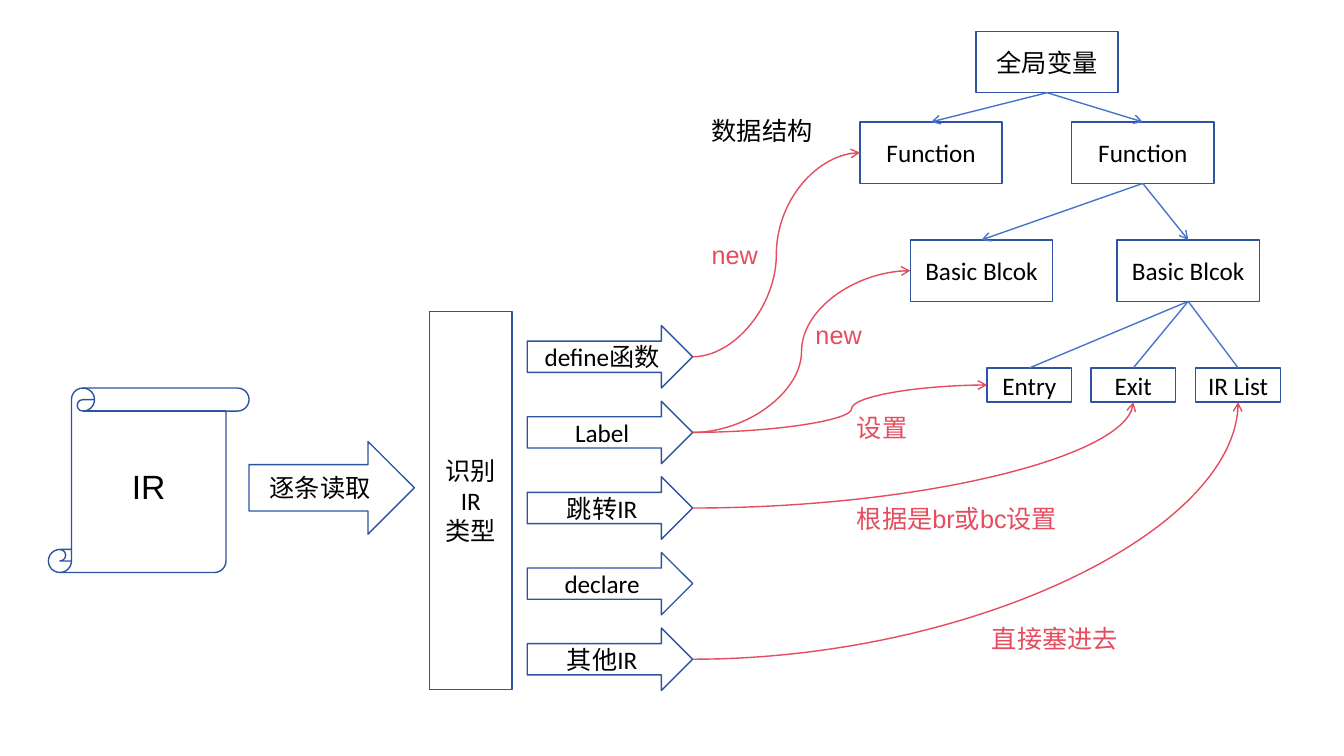
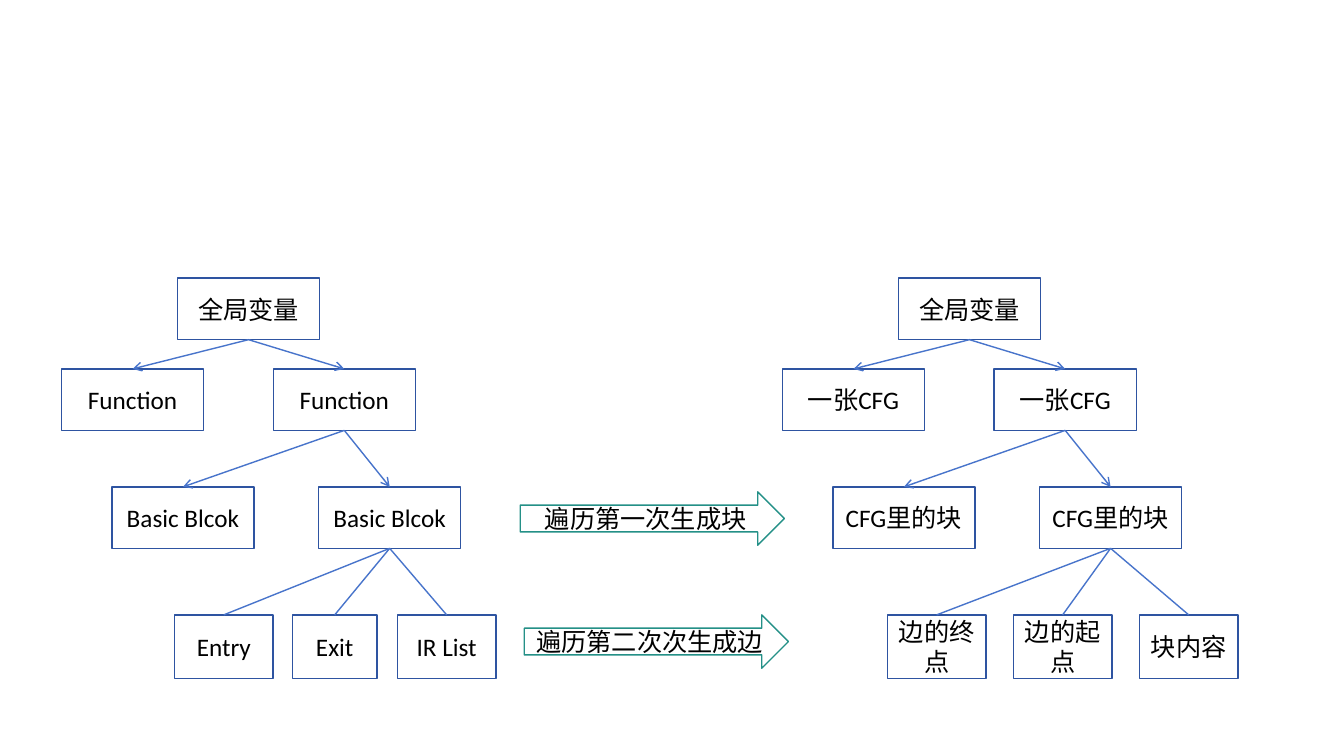
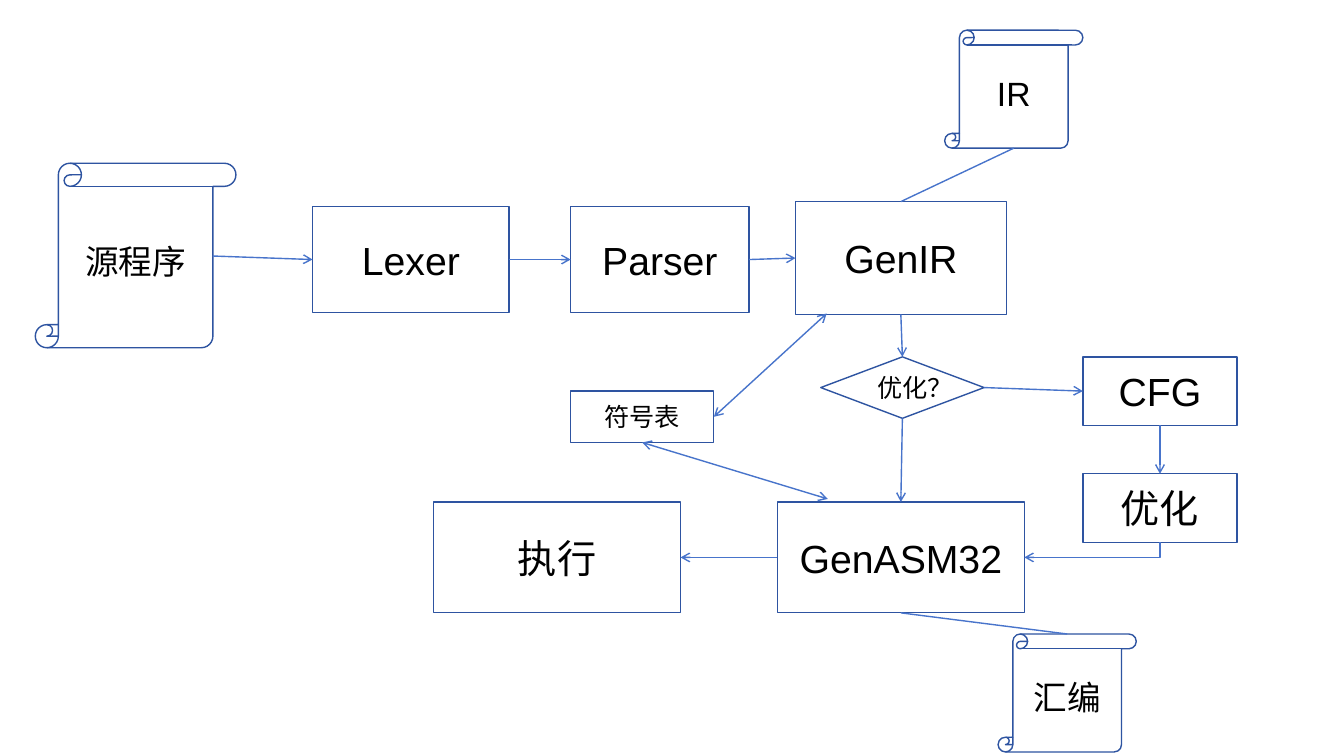
import pptx
import pptx.dml.color
import pptx.enum.shapes
import pptx.enum.text
import pptx.util
from pptx.oxml.ns import qn
from lxml import etree

Inches = pptx.util.Inches
Pt = pptx.util.Pt
MSO = pptx.enum.shapes.MSO_SHAPE
LINK = pptx.enum.shapes.MSO_CONNECTOR
TOP, LEFT, BOTTOM, RIGHT = range(4)

NAVY, BLUE, RED, TEAL, BLACK = "2E54A1", "4874CB", "E54C5E", "249087", "000000"


def color(code):
    return pptx.dml.color.RGBColor.from_string(code)


def style_text(tf, text, size, font, ink, align=None):
    tf.word_wrap = True
    tf.text = text
    for p in tf.paragraphs:
        p.alignment = align
        p.font.size = Pt(size)
        p.font.name = font
        p.font.color.rgb = color(ink)


def outline(s, kind, box, text, size=18, font="Calibri", line=NAVY):
    """Add an unfilled preset shape with centred text; box is x, y, w, h."""
    sp = s.shapes.add_shape(kind, *map(Inches, box))
    sp.shadow.inherit = False
    sp.fill.background()
    sp.line.color.rgb = color(line)
    sp.line.width = Pt(1)
    sp.text_frame.vertical_anchor = pptx.enum.text.MSO_ANCHOR.MIDDLE
    style_text(sp.text_frame, text, size, font, BLACK, pptx.enum.text.PP_ALIGN.CENTER)
    return sp


def note(s, x, y, w, text, font="Arial", ink=RED):
    sp = s.shapes.add_textbox(*map(Inches, (x, y, w, 0.4)))
    style_text(sp.text_frame, text, 18, font, ink)
    sp.text_frame.auto_size = pptx.enum.text.MSO_AUTO_SIZE.SHAPE_TO_FIT_TEXT


def side(sp, site):
    """Return the middle of one side of a shape, in inches."""
    dx, dy = ((0.5, 0), (0, 0.5), (0.5, 1), (1, 0.5))[site]
    return (sp.left.inches + dx * sp.width.inches, sp.top.inches + dy * sp.height.inches)


def connector(s, start, end, ink=BLUE, head=False, tail=True, kind=LINK.STRAIGHT,
              preset=None, bend=None):
    """Draw a connector between two points; bend is the place of its middle, 0 to 1."""
    cn = s.shapes.add_connector(kind, *map(Inches, start + end))
    cn.line.color.rgb = color(ink)
    cn.line.width = Pt(1)
    props = cn._element.spPr
    geom = props.find(qn("a:prstGeom"))
    if preset:
        geom.set("prst", preset)
    if bend:
        etree.SubElement(geom.find(qn("a:avLst")), qn("a:gd"),
                         name="adj1", fmla=f"val {round(bend * 100000)}")
    ln = props.find(qn("a:ln"))
    for tag, wanted in (("a:headEnd", head), ("a:tailEnd", tail)):
        if wanted:
            etree.SubElement(ln, qn(tag), type="arrow")
    etree.SubElement(props, qn("a:effectLst"))
    return cn


def join(s, a, a_site, b, b_site, **options):
    cn = connector(s, side(a, a_site), side(b, b_site), **options)
    cn.begin_connect(a, a_site)
    cn.end_connect(b, b_site)


def tree(s, x, y, function, block, leaves, leaf_h):
    """Draw root, functions, blocks and leaves; a leaf is (text, x offset, width)."""
    def node(dx, dy, text, w=1.41, h=0.61):
        return outline(s, MSO.RECTANGLE, (x + dx, y + dy, w, h), text)

    root = node(1.15, 0, "全局变量")
    functions = [node(dx, 0.9, function) for dx in (0, 2.1)]
    blocks = [node(dx, 2.07, block) for dx in (0.5, 2.55)]
    ends = [node(dx, 3.34, text, w, leaf_h) for text, dx, w in leaves]
    for parent, children in ((root, functions), (functions[1], blocks), (blocks[1], ends)):
        for child in children:
            join(s, parent, BOTTOM, child, TOP, tail=children is not ends)
    return functions, blocks, ends


def reading_slide(s):
    outline(s, MSO.VERTICAL_SCROLL, (0.48, 3.85, 1.99, 1.83), "IR", 24, "Arial")
    outline(s, MSO.RIGHT_ARROW, (2.47, 4.38, 1.64, 0.92), "逐条读取")
    outline(s, MSO.RECTANGLE, (4.26, 3.09, 0.82, 3.75), "识别IR\n类型")
    functions, blocks, (entry, leave, ir_list) = tree(
        s, 8.53, 0.31, "Function", "Basic Blcok",
        [("Entry", 1.26, 0.84), ("Exit", 2.29, 0.84), ("IR List", 3.33, 0.84)], 0.34)

    kinds = ("define函数", "Label", "跳转IR", "declare", "其他IR")
    define, label, jump, _, other = [
        outline(s, MSO.RIGHT_ARROW, (5.23, 3.23 + 0.75 * i, 1.64, 0.62), text)
        for i, text in enumerate(kinds)]
    for source, target, site, preset, bend in (
            (define, functions[0], LEFT, None, None),
            (label, blocks[0], LEFT, None, None),
            (label, entry, LEFT, None, 0.54),
            (jump, leave, BOTTOM, "curvedConnector2", None),
            (other, ir_list, BOTTOM, "curvedConnector2", None)):
        connector(s, side(source, RIGHT), side(target, site), RED,
                  kind=LINK.CURVE, preset=preset, bend=bend)

    note(s, 6.96, 1.09, 1.44, "数据结构", "Calibri", BLACK)
    for x, y, w, text in ((6.96, 2.33, 1.1, "new"), (7.99, 3.12, 1.1, "new"),
                          (8.4, 4.04, 0.82, "设置"), (8.4, 4.94, 2.55, "根据是br或bc设置"),
                          (9.74, 6.13, 1.93, "直接塞进去")):
        note(s, x, y, w, text)


def traversal_slide(s):
    tree(s, 0.61, 2.76, "Function", "Basic Blcok",
         [("Entry", 1.12, 0.98), ("Exit", 2.29, 0.84), ("IR List", 3.33, 0.98)], 0.63)
    tree(s, 7.76, 2.76, "一张CFG", "CFG里的块",
         [(text, 1.04 + 1.25 * i, 0.98)
          for i, text in enumerate(("边的终点", "边的起点", "块内容"))], 0.63)
    for x, y, text in ((5.16, 4.88, "遍历第一次生成块"), (5.2, 6.1, "遍历第二次次生成边")):
        outline(s, MSO.RIGHT_ARROW, (x, y, 2.62, 0.53), text, line=TEAL)


def pipeline_slide(s):
    def step(text, *box, size=28, font="Arial"):
        return outline(s, MSO.RECTANGLE, box, text, size, font)

    def scroll(text, *box):
        return outline(s, MSO.VERTICAL_SCROLL, box, text, 24, "Arial")

    scroll("源程序", 0.35, 1.62, 1.99, 1.83)
    ir = scroll("IR", 9.37, 0.3, 1.37, 1.17)
    assembly = scroll("汇编", 9.9, 6.29, 1.37, 1.17)
    lexer = step("Lexer", 3.1, 2.05, 1.95, 1.05)
    parser = step("Parser", 5.66, 2.05, 1.77, 1.05)
    gen_ir = step("GenIR", 7.89, 2, 2.09, 1.12)
    cfg = step("CFG", 10.74, 3.54, 1.53, 0.68)
    optimize = step("优化", 10.74, 4.7, 1.53, 0.68)
    gen_asm = step("GenASM32", 7.71, 4.98, 2.45, 1.1)
    run = step("执行", 4.3, 4.98, 2.45, 1.1)
    symbols = step("符号表", 5.66, 3.88, 1.42, 0.51, size=18, font="Calibri")
    choice = outline(s, MSO.FLOWCHART_DECISION, (8.14, 3.54, 1.62, 0.61), "优化？")

    for a, a_site, b, b_site in (
            (lexer, RIGHT, parser, LEFT), (parser, RIGHT, gen_ir, LEFT),
            (gen_ir, BOTTOM, choice, TOP), (choice, RIGHT, cfg, LEFT),
            (choice, BOTTOM, gen_asm, TOP), (cfg, BOTTOM, optimize, TOP),
            (gen_asm, LEFT, run, RIGHT)):
        join(s, a, a_site, b, b_site)
    connector(s, (2.11, 2.54), side(lexer, LEFT)).end_connect(lexer, LEFT)
    for site, end in ((RIGHT, (8.2, 3.11)), (BOTTOM, (8.21, 4.95))):
        connector(s, side(symbols, site), end, head=True).begin_connect(symbols, site)
    for box, site, page, page_site in ((gen_ir, TOP, ir, BOTTOM),
                                       (gen_asm, BOTTOM, assembly, TOP)):
        cn = connector(s, side(box, site), side(page, page_site), tail=False)
        cn.begin_connect(box, site)
    connector(s, side(gen_asm, RIGHT), side(optimize, BOTTOM), head=True, tail=False,
              kind=LINK.ELBOW, preset="bentConnector2")


def main():
    prs = pptx.Presentation()
    prs.slide_width, prs.slide_height = Inches(13.33), Inches(7.5)
    for build in (reading_slide, traversal_slide, pipeline_slide):
        build(prs.slides.add_slide(prs.slide_layouts[6]))
    prs.save("out.pptx")


if __name__ == "__main__":
    main()
